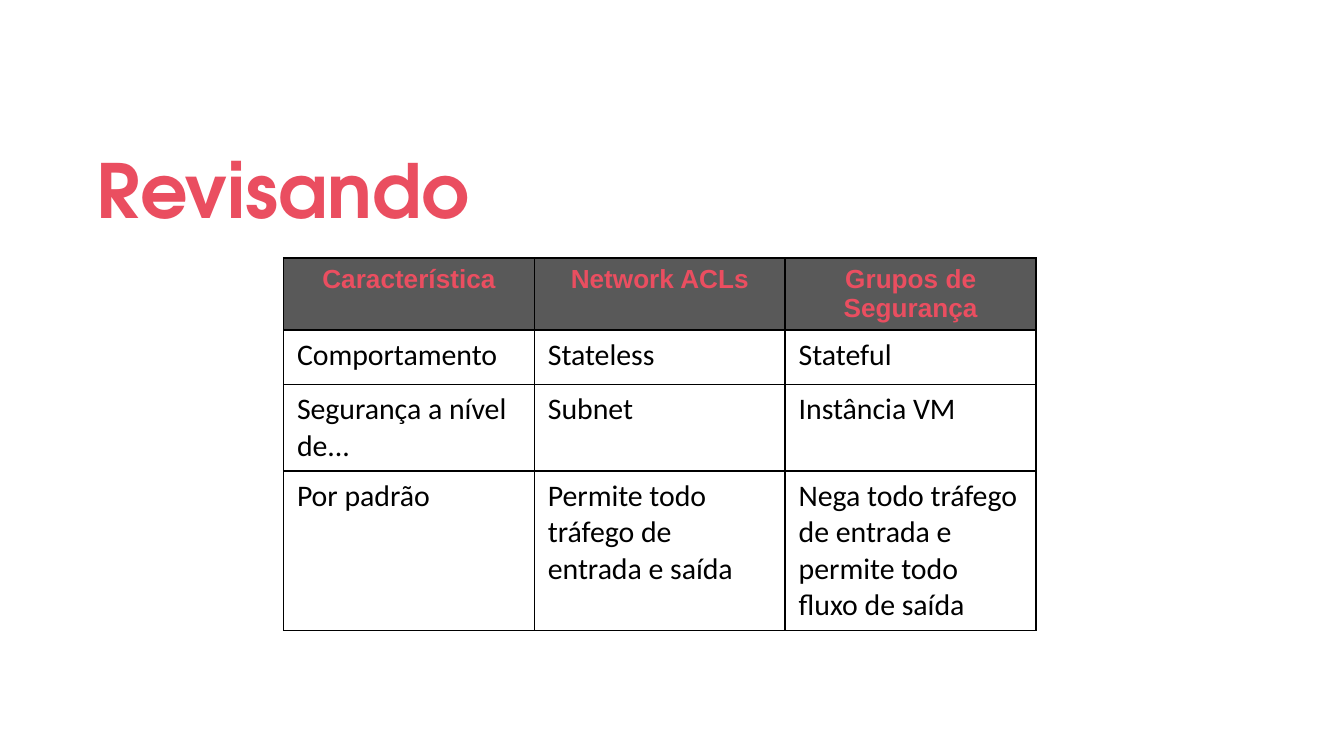
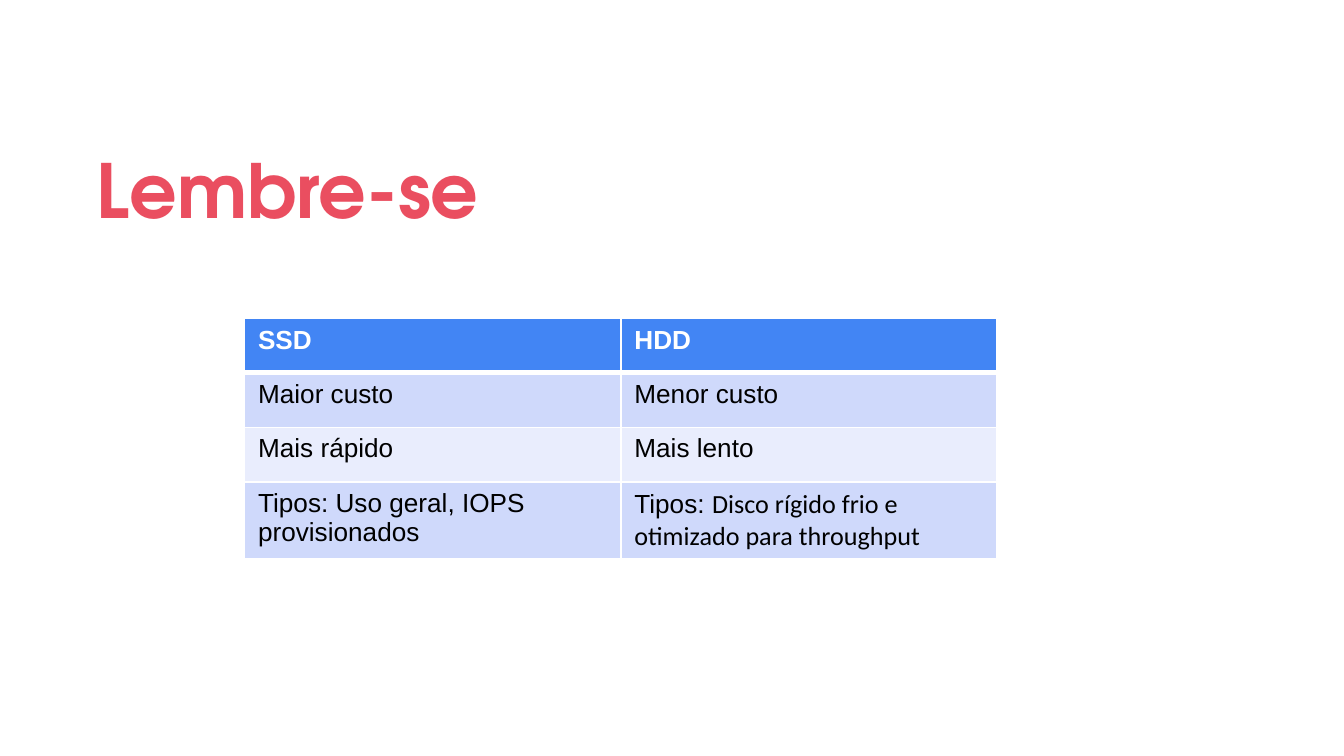
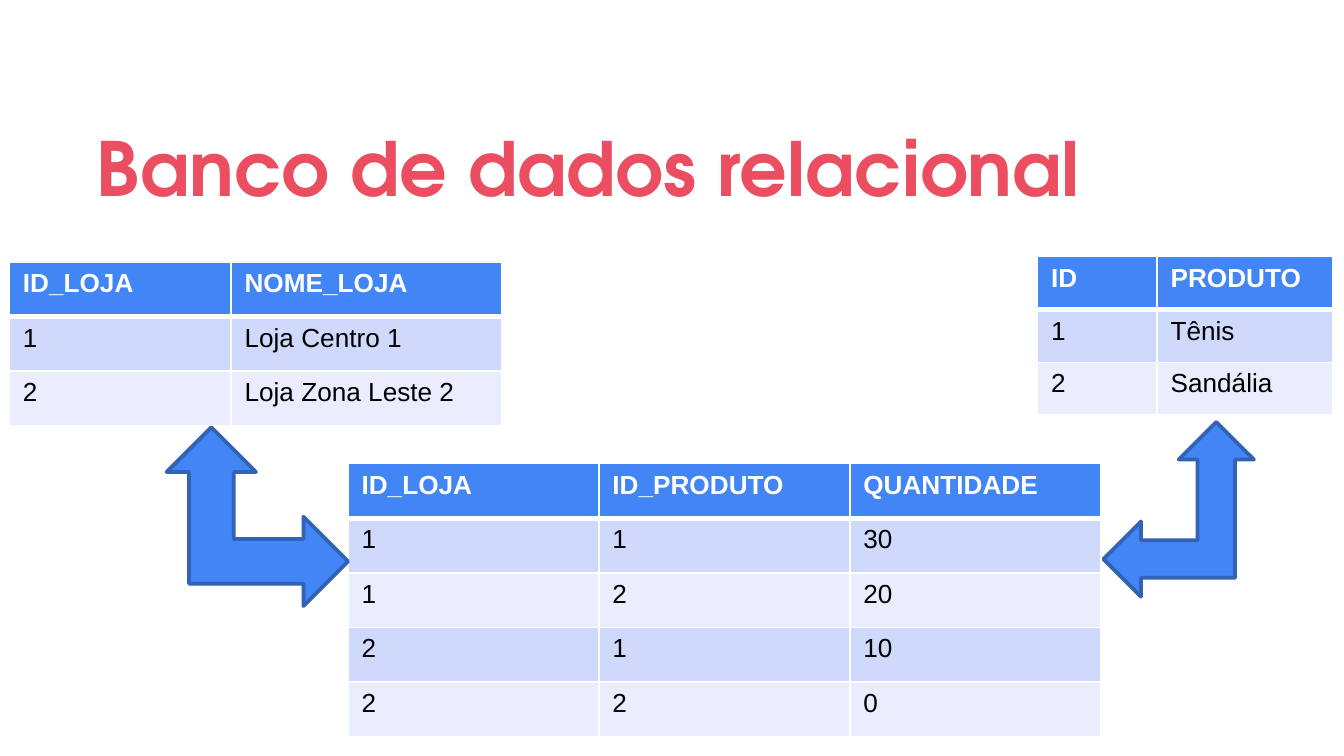
"""Build three slides of review tables on cloud networking, disks and databases."""
import pptx
import pptx.util
import pptx.dml.color
import pptx.enum.shapes
import pptx.enum.text
import pptx.oxml
import pptx.oxml.ns

Inches, Pt = pptx.util.Inches, pptx.util.Pt
ALIGN = pptx.enum.text.PP_ALIGN

RED, BLACK, WHITE = "EA4E60", "000000", "FFFFFF"
BLUE, DARK_BLUE = "4285F4", "3162B5"

DARK_STYLE = dict(
    head=dict(size=14, font="Arial", color=RED, bold=True, align=ALIGN.CENTER),
    body=dict(size=16, font="Calibri", color=BLACK),
    head_fill="595959", bands=(None,), border=BLACK, head_rule=1,
)
BLUE_STYLE = dict(
    head=dict(size=14, font="Arial", color=WHITE, bold=True),
    body=dict(size=14, font="Arial", color=BLACK),
    head_fill=BLUE, bands=("CFD9FB", "E9EDFD"), border=WHITE, head_rule=3,
)
THIRDS = (5.6 / 3,) * 3

SLIDES = [
    dict(title="Revisando", title_size=(8.74, 0.99), tables=[
        dict(at=(2.11, 1.92), cols=THIRDS, height=1.62, style=DARK_STYLE, rows=[
            ("Característica", "Network ACLs", "Grupos de Segurança"),
            ("Comportamento", "Stateless", "Stateful"),
            ("Segurança a nível de...", "Subnet", "Instância VM"),
            ("Por padrão", "Permite todo tráfego de entrada e saída",
             "Nega todo tráfego de entrada e permite todo fluxo de saída"),
        ]),
    ]),
    dict(title="Lembre-se", title_size=(8.74, 0.99), tables=[
        dict(at=(1.82, 2.37), cols=(2.8, 2.8), height=1.62, style=BLUE_STYLE, rows=[
            ("SSD", "HDD"),
            ("Maior custo", "Menor custo"),
            ("Mais rápido", "Mais lento"),
            ("Tipos: Uso geral, IOPS provisionados",
             [("Tipos: ", None),
              ("Disco rígido frio e otimizado para throughput", "Calibri")]),
        ]),
    ]),
    dict(title="Banco de dados relacional", title_size=(9.37, 0.66), tables=[
        dict(at=(0.07, 1.95), cols=(1.65, 2.01), height=1.22, style=BLUE_STYLE, rows=[
            ("ID_LOJA", "NOME_LOJA"),
            ("1", "Loja Centro 1"),
            ("2", "Loja Zona Leste 2"),
        ]),
        dict(at=(7.72, 1.91), cols=(0.89, 1.31), height=1.18, style=BLUE_STYLE, rows=[
            ("ID", "PRODUTO"),
            ("1", "Tênis"),
            ("2", "Sandália"),
        ]),
        dict(at=(2.59, 3.45), cols=THIRDS, height=2.03, style=BLUE_STYLE, rows=[
            ("ID_LOJA", "ID_PRODUTO", "QUANTIDADE"),
            ("1", "1", "30"),
            ("1", "2", "20"),
            ("2", "1", "10"),
            ("2", "2", "0"),
        ]),
    ], arrows=[((8.21, 3.14, 1.12, 1.3), False), ((1.24, 3.18, 1.35, 1.33), True)]),
]


def rgb(color):
    return pptx.dml.color.RGBColor.from_string(color)


def format_paragraph(p, size, font, color, bold=False, align=ALIGN.LEFT):
    p.alignment = align
    p.font.size, p.font.name, p.font.bold = Pt(size), font, bold
    p.font.color.rgb = rgb(color)


def set_borders(cell, color, top, bottom):
    tc_pr = cell._tc.get_or_add_tcPr()
    for i, (side, width) in enumerate((("L", 1), ("R", 1), ("T", top), ("B", bottom))):
        tc_pr.insert(i, pptx.oxml.parse_xml(
            f'<a:ln{side} {pptx.oxml.ns.nsdecls("a")} w="{Pt(width)}"><a:solidFill>'
            f'<a:srgbClr val="{color}"/></a:solidFill></a:ln{side}>'))


def add_title(s, text, size):
    sp = s.shapes.title
    sp.left, sp.top = Inches(0.62), Inches(0.86)
    sp.width, sp.height = map(Inches, size)
    tf = sp.text_frame
    tf.text = text
    tf.word_wrap = True
    tf.auto_size = pptx.enum.text.MSO_AUTO_SIZE.NONE
    tf.vertical_anchor = pptx.enum.text.MSO_ANCHOR.MIDDLE
    tf.margin_left = tf.margin_right = tf.margin_top = tf.margin_bottom = Inches(0.1)
    p = tf.paragraphs[0]
    p.line_spacing = 1.15
    format_paragraph(p, 40, "TeX Gyre Adventor", RED, bold=True)


def fill_cell(cell, content, row, style):
    p = cell.text_frame.paragraphs[0]
    for text, font in [(content, None)] if isinstance(content, str) else content:
        r = p.add_run()
        r.text = text
        if font:
            r.font.name = font
    format_paragraph(p, **style["body" if row else "head"])
    bands = style["bands"]
    fill = bands[(row - 1) % len(bands)] if row else style["head_fill"]
    if fill:
        cell.fill.solid()
        cell.fill.fore_color.rgb = rgb(fill)
    else:
        cell.fill.background()
    rule = style["head_rule"]
    set_borders(cell, style["border"], rule if row == 1 else 1, 1 if row else rule)


def add_table(s, at, cols, height, style, rows):
    left, top = at
    table = s.shapes.add_table(len(rows), len(cols), Inches(left), Inches(top),
                               Inches(sum(cols)), Inches(height)).table
    table.first_row = table.horz_banding = False
    for column, width in zip(table.columns, cols):
        column.width = Inches(width)
    for i, contents in enumerate(rows):
        for j, content in enumerate(contents):
            fill_cell(table.cell(i, j), content, i, style)


def add_arrow(s, box, flipped):
    sp = s.shapes.add_shape(pptx.enum.shapes.MSO_SHAPE.LEFT_UP_ARROW, *map(Inches, box))
    sp.shadow.inherit = False
    sp.fill.solid()
    sp.fill.fore_color.rgb = rgb(BLUE)
    sp.line.color.rgb = rgb(DARK_BLUE)
    sp.line.width = Pt(2)
    if flipped:
        sp._element.spPr.xfrm.set("flipH", "1")


def main():
    prs = pptx.Presentation()
    prs.slide_width, prs.slide_height = Inches(10), Inches(10 * 9 / 16)
    for content in SLIDES:
        s = prs.slides.add_slide(prs.slide_layouts[5])
        add_title(s, content["title"], content["title_size"])
        for table in content["tables"]:
            add_table(s, **table)
        for box, flipped in content.get("arrows", []):
            add_arrow(s, box, flipped)
    prs.save("out.pptx")


if __name__ == "__main__":
    main()
